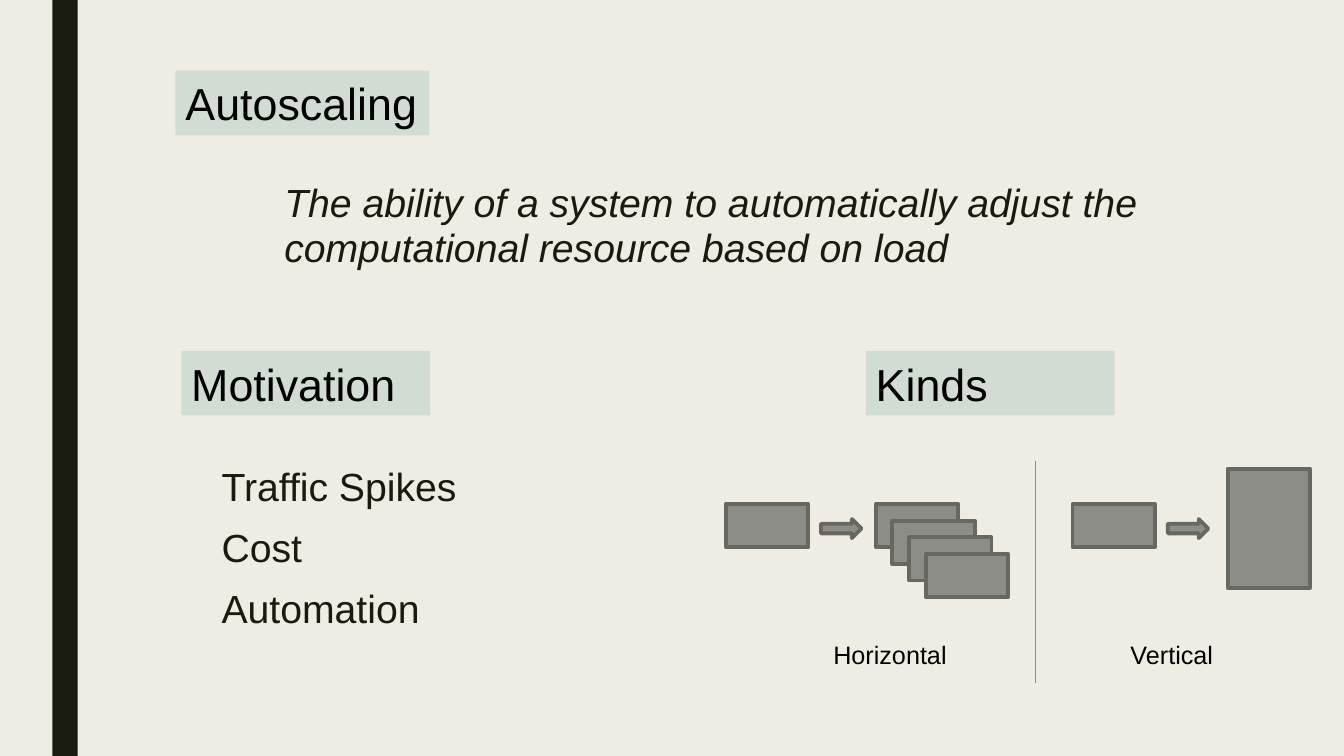
from dataclasses import dataclass

from lxml import etree
from pptx import Presentation
from pptx.dml.color import RGBColor
from pptx.enum import shapes, text
from pptx.oxml import ns
from pptx.util import Cm, Pt


@dataclass(frozen=True)
class Theme:
    background: str = "EFEDE3"
    ink: str = "191B0E"
    heading_text: str = "000000"
    heading_fill: str = "D1DDD2"
    machine_fill: str = "8C8D86"
    machine_line: str = "686863"
    font: str = "Arial"
    heading_size: int = 32
    body_size: int = 28
    label_size: int = 18


THEME = Theme()
MACHINE_WIDTH, MACHINE_HEIGHT = 2.08, 1.09
MACHINE_TOP = 12.7
STACK_STEP = 0.42


def paint(fill, color):
    fill.solid()
    fill.fore_color.rgb = RGBColor.from_string(color)


def place(shape, left, top, width, height):
    shape.left, shape.top = Cm(left), Cm(top)
    shape.width, shape.height = Cm(width), Cm(height)


def style_text(frame, size, color, italic=False):
    for para in frame.paragraphs:
        for span in para.runs:
            span.font.name = THEME.font
            span.font.size = Pt(size)
            span.font.italic = italic
            span.font.color.rgb = RGBColor.from_string(color)


def fill_body(box, area, lines, italic=False):
    """Place a body placeholder and set its lines without bullets."""
    place(box, *area)
    frame = box.text_frame
    frame.text = "\n".join(lines)
    frame.auto_size = text.MSO_AUTO_SIZE.NONE
    for para in frame.paragraphs:
        para.line_spacing = 0.94
        para.space_before, para.space_after = Pt(10), Pt(2)
        properties = para._p.get_or_add_pPr()
        properties.set("marL", "0")
        properties.set("indent", "0")
        etree.SubElement(properties, ns.qn("a:buNone"))
    style_text(frame, THEME.body_size, THEME.ink, italic)


def fill_heading(box, words, left, top, width):
    place(box, left, top, width, 1.63)
    paint(box.fill, THEME.heading_fill)
    frame = box.text_frame
    frame.text = words
    frame.word_wrap = True
    frame.auto_size = text.MSO_AUTO_SIZE.NONE
    frame.vertical_anchor = text.MSO_ANCHOR.MIDDLE
    frame.paragraphs[0].alignment = text.PP_ALIGN.LEFT
    style_text(frame, THEME.heading_size, THEME.heading_text)


def add_heading(page, words, left, top, width):
    box = page.shapes.add_textbox(0, 0, 0, 0)
    fill_heading(box, words, left, top, width)


def add_label(page, words, left, width):
    box = page.shapes.add_textbox(Cm(left), Cm(15.98), Cm(width), Cm(1.02))
    box.text_frame.text = words
    style_text(box.text_frame, THEME.label_size, THEME.heading_text)


def add_solid(page, kind, area, fill):
    shape = page.shapes.add_shape(kind, *map(Cm, area))
    shape.shadow.inherit = False
    paint(shape.fill, fill)
    shape.line.fill.background()
    return shape


def add_outlined(page, kind, *area):
    shape = add_solid(page, kind, area, THEME.machine_fill)
    paint(shape.line.fill, THEME.machine_line)
    shape.line.width = Pt(2.75)


def add_machine(page, left, top=MACHINE_TOP, height=MACHINE_HEIGHT):
    add_outlined(page, shapes.MSO_SHAPE.RECTANGLE, left, top, MACHINE_WIDTH, height)


def add_scaling_start(page, left):
    """Draw one machine and the arrow to its scaled form."""
    add_machine(page, left)
    add_outlined(page, shapes.MSO_SHAPE.RIGHT_ARROW, left + 2.4, MACHINE_TOP + 0.38, 1.02, 0.48)


def add_divider(page, left, top, bottom):
    line = page.shapes.add_connector(
        shapes.MSO_CONNECTOR.STRAIGHT, Cm(left), Cm(top), Cm(left), Cm(bottom))
    paint(line.line.fill, THEME.machine_fill)
    line.line.width = Pt(0.5)
    etree.SubElement(line._element.spPr, ns.qn("a:effectLst"))


def main():
    deck = Presentation()
    deck.slide_width, deck.slide_height = Cm(33.87), Cm(19.05)
    page = deck.slides.add_slide(deck.slide_layouts.get_by_name("Two Content"))
    for box in list(page.placeholders):
        if box.placeholder_format.idx > 2:
            box.element.getparent().remove(box.element)
    paint(page.background.fill, THEME.background)
    add_solid(page, shapes.MSO_SHAPE.RECTANGLE, (1.32, 0, 0.64, 19.05), THEME.ink)

    fill_heading(page.shapes.title, "Autoscaling", 4.42, 1.78, 6.4)
    fill_body(page.placeholders[1], (6.91, 4.47, 23.29, 4.27),
              ["The ability of a system to automatically adjust the "
               "computational resource based on load"], italic=True)
    add_heading(page, "Motivation", 4.57, 8.84, 6.27)
    fill_body(page.placeholders[2], (5.33, 11.61, 7.9, 6.91),
              ["Traffic Spikes", "Cost", "Automation"])

    add_heading(page, "Kinds", 21.82, 8.84, 6.27)
    add_scaling_start(page, 18.29)
    for step in range(4):
        add_machine(page, 22.07 + step * STACK_STEP, MACHINE_TOP + step * STACK_STEP)
    add_label(page, "Horizontal", 20.75, 3.4)
    add_divider(page, 26.09, 11.61, 17.22)
    add_scaling_start(page, 27.03)
    add_machine(page, 30.94, top=11.81, height=3)
    add_label(page, "Vertical", 28.24, 2.62)
    deck.save("out.pptx")


if __name__ == "__main__":
    main()
